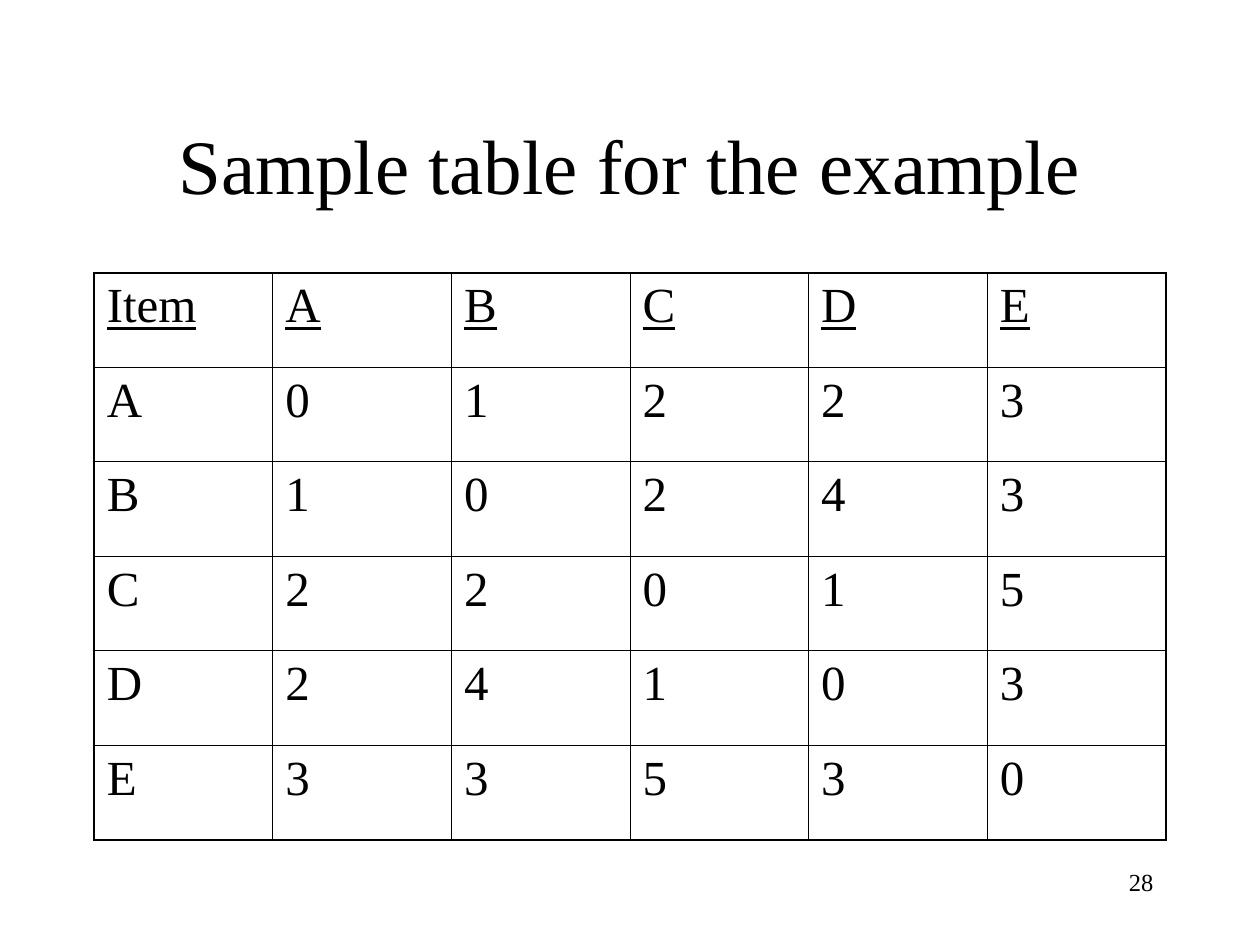
"""Build a slide with a symmetric table of item values."""
import lxml.etree
import pptx
import pptx.dml.color
import pptx.enum.text
import pptx.oxml.ns
import pptx.util

BLACK = pptx.dml.color.RGBColor(0, 0, 0)
FONT = "Times New Roman"
THIN, THICK = pptx.util.Pt(0.45), pptx.util.Pt(1.08)
ITEMS = "ABCDE"
VALUES = [
    [0, 1, 2, 2, 3],
    [1, 0, 2, 4, 3],
    [2, 2, 0, 1, 5],
    [2, 4, 1, 0, 3],
    [3, 3, 5, 3, 0],
]


def format_text(para, size, underline=False):
    for span in para.runs:
        span.font.name = FONT
        span.font.size = pptx.util.Pt(size)
        span.font.color.rgb = BLACK
        span.font.underline = underline


def add_border(cell, side, width):
    qualify = pptx.oxml.ns.qn
    properties = cell._tc.get_or_add_tcPr()
    line = lxml.etree.SubElement(properties, qualify(f"a:ln{side}"), w=str(width))
    fill = lxml.etree.SubElement(line, qualify("a:solidFill"))
    lxml.etree.SubElement(fill, qualify("a:srgbClr"), val=str(BLACK))


deck = pptx.Presentation()
deck.slide_width = pptx.util.Cm(25.4)
deck.slide_height = pptx.util.Cm(19.05)
page = deck.slides.add_slide(deck.slide_layouts[5])

title = page.shapes.title
title.left, title.top = pptx.util.Cm(1.9), pptx.util.Cm(1.7)
title.width, title.height = pptx.util.Cm(21.6), pptx.util.Cm(3.18)
title.text_frame.text = "Sample table for the example"
title.text_frame.vertical_anchor = pptx.enum.text.MSO_ANCHOR.MIDDLE
title.text_frame.paragraphs[0].alignment = pptx.enum.text.PP_ALIGN.CENTER
format_text(title.text_frame.paragraphs[0], 44)

rows = [["Item", *ITEMS]] + [[item, *values] for item, values in zip(ITEMS, VALUES)]
last = len(rows) - 1
table = page.shapes.add_table(
    len(rows), len(rows[0]),
    pptx.util.Cm(1.9), pptx.util.Cm(5.5), pptx.util.Cm(21.6), pptx.util.Cm(11.43),
).table
table.horz_banding = False

for row_index, row in enumerate(rows):
    for column_index, value in enumerate(row):
        cell = table.cell(row_index, column_index)
        cell.text_frame.text = str(value)
        para = cell.text_frame.paragraphs[0]
        para.space_before = pptx.util.Pt(7)
        format_text(para, 28, underline=row_index == 0)
        outer_sides = {
            "L": column_index == 0,
            "R": column_index == last,
            "T": row_index == 0,
            "B": row_index == last,
        }
        for side, is_outer in outer_sides.items():
            add_border(cell, side, THICK if is_outer else THIN)
        cell.fill.background()

number_box = page.shapes.add_textbox(
    pptx.util.Cm(18.2), pptx.util.Cm(17.35), pptx.util.Cm(5.3), pptx.util.Cm(1.27)
)
number_box.text_frame.word_wrap = True
number_box.text_frame.text = "28"
number_box.text_frame.paragraphs[0].alignment = pptx.enum.text.PP_ALIGN.RIGHT
format_text(number_box.text_frame.paragraphs[0], 14)

deck.save("out.pptx")
